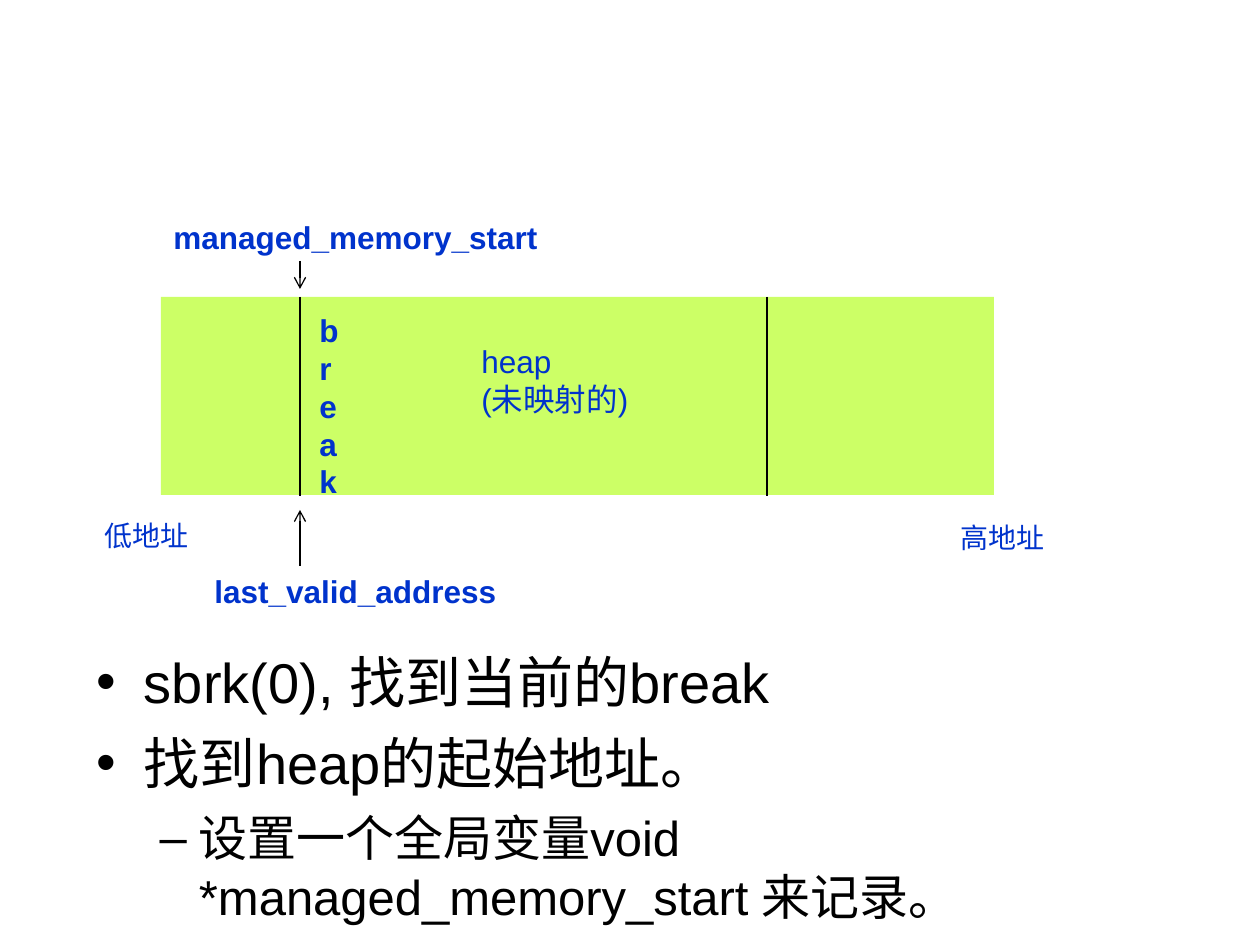
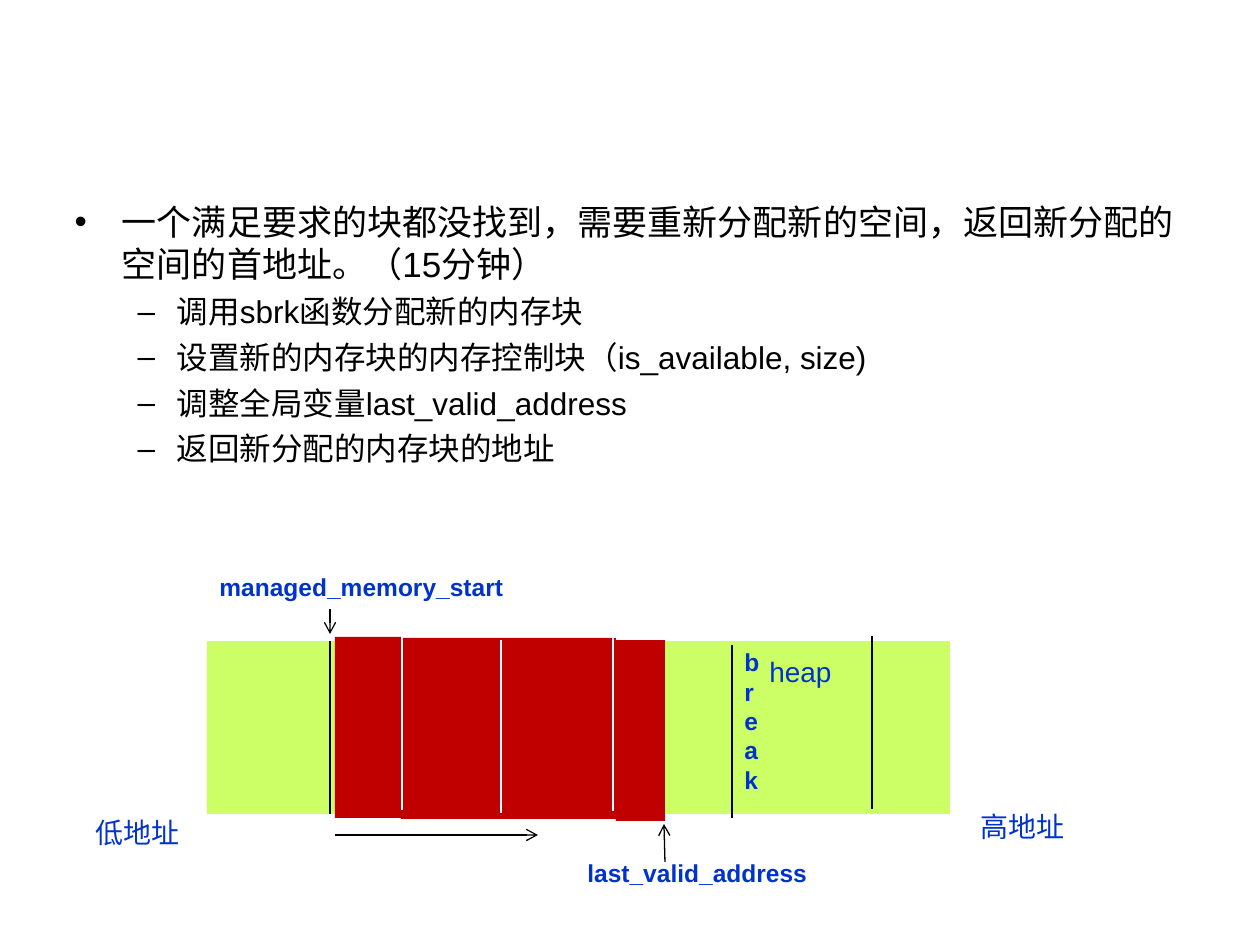
from lxml.etree import SubElement
from pptx import Presentation
from pptx.dml.color import RGBColor
from pptx.enum.shapes import MSO_CONNECTOR as Connector, MSO_SHAPE as Shape
from pptx.enum.text import MSO_AUTO_SIZE as AutoSize
from pptx.oxml.ns import qn
from pptx.util import Pt

PX = 914400 / 126
FONT = "Arial"
BLACK, WHITE, BLUE, GREEN, RED = "000000", "FFFFFF", "0033CC", "CCFF66", "C00000"
BREAK = ["b", "r", "eak"]

SLIDES = [
    {
        "body": (84, 641, 1135, 291),
        "bullets": [
            (0, "sbrk(0), 找到当前的break", 32, 8),
            (0, "找到heap的起始地址。", 32, 8),
            (1, "设置一个全局变量void *managed_memory_start 来记录。", 28, 7),
        ],
        "memory": (161, 297, 833, 198),
        "used_blocks": [],
        "dividers": [
            (300, 297, 300, 496, BLACK),
            (767, 297, 767, 496, BLACK),
        ],
        "arrows": [(300, 566, 300, 510), (300, 261, 300, 289)],
        "labels": [
            (["heap", "(未映射的)"], (469, 336, 198, 88), 18, False),
            (["last_valid_address"], (202, 566, 307, 50), 18, True),
            (BREAK, (307, 305, 54, 202), 18, True),
            (["managed_memory_start"], (161, 212, 422, 50), 18, True),
            (["低地址"], (92, 512, 139, 47), 16, False),
            (["高地址"], (948, 514, 139, 47), 16, False),
        ],
    },
    {
        "body": (62, 194, 1135, 635),
        "bullets": [
            (0, "一个满足要求的块都没找到，需要重新分配新的空间，返回新分配的空间的首地址。（15分钟）", 20, 5),
            (1, "调用sbrk函数分配新的内存块", 18, 4.5),
            (1, "设置新的内存块的内存控制块（is_available, size)", 18, 4.5),
            (1, "调整全局变量last_valid_address", 18, 4.5),
            (1, "返回新分配的内存块的地址", 18, 4.5),
        ],
        "memory": (207, 641, 743, 173),
        "used_blocks": [
            (335, 637, 67, 181),
            (401, 638, 108, 181),
            (509, 638, 107, 181),
            (616, 640, 49, 181),
        ],
        "dividers": [
            (330, 641, 330, 814, BLACK),
            (872, 636, 872, 809, BLACK),
            (732, 645, 732, 818, BLACK),
            (402, 637, 402, 810, WHITE),
            (501, 640, 501, 813, WHITE),
            (613, 638, 613, 811, WHITE),
        ],
        "arrows": [(665, 862, 664, 824), (330, 609, 330, 634), (335, 835, 538, 835)],
        "labels": [
            (["heap"], (757, 648, 88, 47), 16, False),
            (["last_valid_address"], (575, 852, 275, 43), 14, True),
            (BREAK, (732, 641, 49, 160), 14, True),
            (["managed_memory_start"], (207, 566, 375, 43), 14, True),
            (["低地址"], (83, 809, 139, 47), 16, False),
            (["高地址"], (968, 803, 139, 47), 16, False),
        ],
    },
]


def emu(lengths):
    return [round(length * PX) for length in lengths]


def color(hex_value):
    return RGBColor.from_string(hex_value)


def format_text(paragraph, size, hex_value, bold=False):
    for run in paragraph.runs:
        run.font.name = FONT
        run.font.size = Pt(size)
        run.font.bold = bold
        run.font.color.rgb = color(hex_value)


def fill_body(slide, box, bullets):
    body = slide.placeholders[1]
    body.left, body.top, body.width, body.height = emu(box)
    text_frame = body.text_frame
    text_frame.text = "\n".join(text for _, text, _, _ in bullets)
    text_frame.auto_size = AutoSize.NONE
    for index, (paragraph, bullet) in enumerate(zip(text_frame.paragraphs, bullets)):
        level, _, size, space = bullet
        paragraph.level = level
        paragraph.space_before = Pt(space if index else 0)
        format_text(paragraph, size, BLACK)


def add_block(slide, box, hex_value):
    block = slide.shapes.add_shape(Shape.RECTANGLE, *emu(box))
    block.shadow.inherit = False
    block.fill.solid()
    block.fill.fore_color.rgb = color(hex_value)
    block.line.fill.background()


def add_line(slide, points, hex_value=BLACK, arrow=False):
    line = slide.shapes.add_connector(Connector.STRAIGHT, *emu(points))
    line.line.width = Pt(0.75)
    line.line.color.rgb = color(hex_value)
    if arrow:
        SubElement(line.line._get_or_add_ln(), qn("a:tailEnd"), type="arrow")
    SubElement(line._element.spPr, qn("a:effectLst"))


def add_label(slide, texts, box, size, bold):
    text_frame = slide.shapes.add_textbox(*emu(box)).text_frame
    text_frame.word_wrap = True
    text_frame.text = "\n".join(texts)
    for paragraph in text_frame.paragraphs:
        format_text(paragraph, size, BLUE, bold)


def build_slide(presentation, content):
    slide = presentation.slides.add_slide(presentation.slide_layouts[1])
    title = slide.shapes.title._element
    title.getparent().remove(title)
    fill_body(slide, content["body"], content["bullets"])
    add_block(slide, content["memory"], GREEN)
    for box in content["used_blocks"]:
        add_block(slide, box, RED)
    for *points, hex_value in content["dividers"]:
        add_line(slide, points, hex_value)
    for points in content["arrows"]:
        add_line(slide, points, arrow=True)
    for label in content["labels"]:
        add_label(slide, *label)


def main():
    """Build the two heap allocation slides."""
    presentation = Presentation()
    presentation.slide_width, presentation.slide_height = emu((1260, 945))
    for content in SLIDES:
        build_slide(presentation, content)
    presentation.save("out.pptx")


if __name__ == "__main__":
    main()
